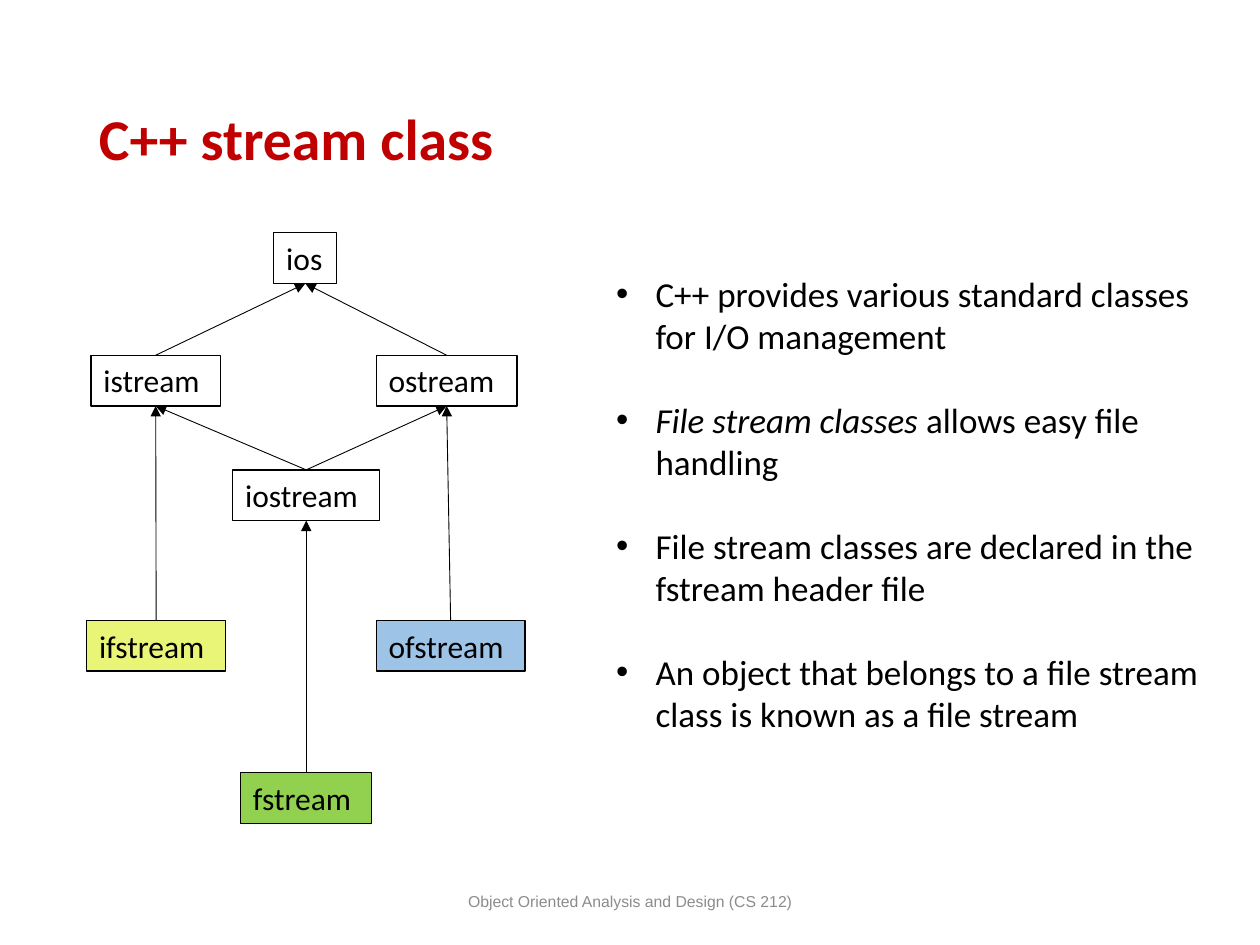
import pptx
import pptx.dml.color
import pptx.enum.shapes
import pptx.enum.text
import pptx.oxml
import pptx.oxml.ns
import pptx.util

Pt = pptx.util.Pt
ANCHOR = pptx.enum.text.MSO_ANCHOR


def color(hex_text):
    return pptx.dml.color.RGBColor.from_string(hex_text)


def add_span(para, text, size, hex_text, font="Calibri"):
    span = para.add_run()
    span.text = text
    span.font.name = font
    span.font.size = Pt(size)
    span.font.color.rgb = color(hex_text)
    return span


deck = pptx.Presentation()
deck.slide_width = Pt(720)
deck.slide_height = Pt(540)
page = deck.slides.add_slide(deck.slide_layouts[6])

# Title
title = page.shapes.add_textbox(Pt(49.5), Pt(29), Pt(621), Pt(104.5))
title.text_frame.word_wrap = True
title.text_frame.vertical_anchor = ANCHOR.MIDDLE
para = title.text_frame.paragraphs[0]
para.line_spacing = 0.9
add_span(para, "C++ stream class", 33, "C00000").font.bold = True

# Class boxes: name, left, top, width, fill
classes = [
    ("ios", 156.5, 133, 36, None),
    ("istream", 52, 203, 74, None),
    ("ostream", 215, 203, 80.5, None),
    ("iostream", 133, 268.5, 84, None),
    ("ifstream", 49.5, 354.5, 79.5, "E9F577"),
    ("ofstream", 215, 354.5, 85, "9DC3E6"),
    ("fstream", 137.5, 441.5, 75, "92D050"),
]
boxes = {}
for name, left, top, width, fill in classes:
    box = page.shapes.add_shape(
        pptx.enum.shapes.MSO_SHAPE.RECTANGLE, Pt(left), Pt(top), Pt(width), Pt(29))
    box.shadow.inherit = False
    if fill:
        box.fill.solid()
        box.fill.fore_color.rgb = color(fill)
    else:
        box.fill.background()
    box.line.color.rgb = color("000000")
    box.line.width = Pt(0.75)
    frame = box.text_frame
    frame.word_wrap = True
    frame.vertical_anchor = ANCHOR.TOP
    frame.margin_right = 0
    para = frame.paragraphs[0]
    para.alignment = pptx.enum.text.PP_ALIGN.LEFT
    add_span(para, name, 18, "000000")
    boxes[name] = box

# Inheritance arrows from the derived class to its base
inheritance = [
    ("fstream", "iostream"),
    ("ifstream", "istream"),
    ("istream", "ios"),
    ("ostream", "ios"),
    ("iostream", "istream"),
    ("iostream", "ostream"),
    ("ofstream", "ostream"),
]
for derived, base in inheritance:
    arrow = page.shapes.add_connector(
        pptx.enum.shapes.MSO_CONNECTOR.STRAIGHT, 0, 0, 0, 0)
    arrow.begin_connect(boxes[derived], 0)
    arrow.end_connect(boxes[base], 2)
    arrow.line.color.rgb = color("000000")
    arrow.line.width = Pt(0.5)
    head = pptx.oxml.parse_xml(
        f'<a:tailEnd {pptx.oxml.ns.nsdecls("a")} type="triangle"/>')
    arrow.line._get_or_add_ln().append(head)
    arrow._element.spPr.append(
        pptx.oxml.parse_xml(f'<a:effectLst {pptx.oxml.ns.nsdecls("a")}/>'))

# Bullet list: each item is a list of (text, italic)
items = [
    [("C++ provides various standard classes for I/O management", False)],
    [("File stream classes ", True), ("allows easy file handling", False)],
    [("File stream classes are declared in the fstream header file", False)],
    [("An object that belongs to a file stream class is known as a file stream", False)],
]
notes = page.shapes.add_textbox(Pt(345), Pt(152), Pt(369.5), Pt(298))
notes.text_frame.word_wrap = True
for index, item in enumerate(items):
    para = notes.text_frame.paragraphs[0] if index == 0 else notes.text_frame.add_paragraph()
    properties = para._p.get_or_add_pPr()
    properties.set("marL", str(Pt(22.5)))
    properties.set("indent", str(-Pt(22.5)))
    for element in ('buFont {} typeface="Arial"', 'buChar {} char="•"'):
        properties.append(pptx.oxml.parse_xml(
            f'<a:{element.format(pptx.oxml.ns.nsdecls("a"))}/>'))
    if index:
        para.space_before = Pt(24)
    for text, italic in item:
        add_span(para, text, 20, "000000").font.italic = italic

# Footer
footer = page.shapes.add_textbox(Pt(238.5), Pt(500.5), Pt(243), Pt(29))
footer.text_frame.word_wrap = True
footer.text_frame.vertical_anchor = ANCHOR.MIDDLE
para = footer.text_frame.paragraphs[0]
para.alignment = pptx.enum.text.PP_ALIGN.CENTER
add_span(para, "Object Oriented Analysis and Design (CS 212)", 9, "8C8C8C", "Arial")

deck.save("out.pptx")
